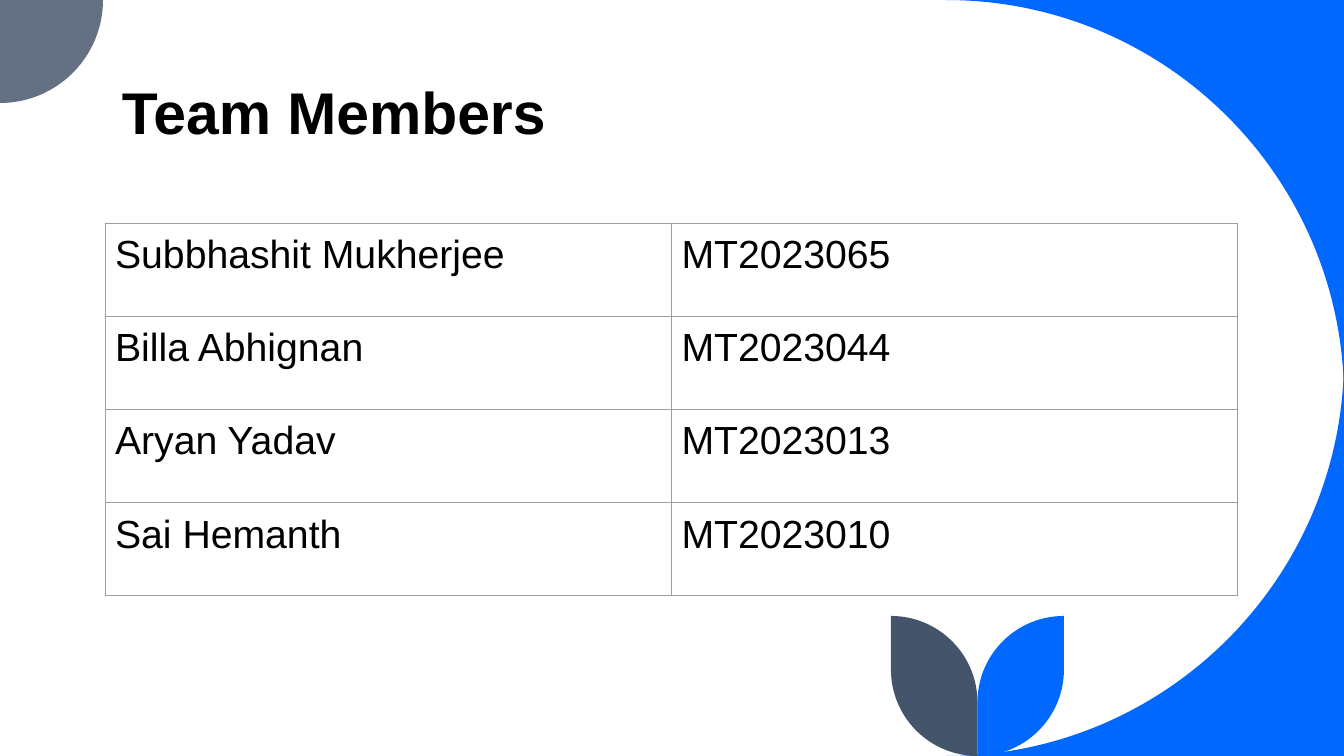
from lxml import etree
from pptx import Presentation
from pptx.dml.color import RGBColor
from pptx.enum.text import MSO_ANCHOR
from pptx.oxml.ns import qn
from pptx.util import Emu, Inches, Pt

EMU_PER_PX = 914400 / 100.8
SLIDE_W, SLIDE_H = 1344, 756
ARC_HANDLE = 0.5523  # Bezier handle of a quarter circle, per unit of radius
FONT = "Arial"
BOTTOM = MSO_ANCHOR.BOTTOM
TOP = MSO_ANCHOR.TOP

BLACK = RGBColor(0x00, 0x00, 0x00)
BLUE = RGBColor(0x00, 0x68, 0xFF)
GRAY = RGBColor(0x63, 0x71, 0x83)
SLATE = RGBColor(0x44, 0x54, 0x6A)
GRID = RGBColor(0x9E, 0x9E, 0x9E)

MEMBERS = [
    ("Subbhashit Mukherjee", "MT2023065"),
    ("Billa Abhignan", "MT2023044"),
    ("Aryan Yadav", "MT2023013"),
    ("Sai Hemanth", "MT2023010"),
]


def px(length):
    return Emu(round(length * EMU_PER_PX))


def quarter_arc(start, corner, end):
    """Bezier points of a quarter circle that bulges towards the corner."""
    handles = [
        tuple(p + ARC_HANDLE * (c - p) for p, c in zip(point, corner))
        for point in (start, end)
    ]
    return [*handles, end]


def add_outline(slide, start, segments, color):
    """Closed outline; a segment holds one point (line) or three (curve)."""
    points = [(px(x), px(y)) for segment in segments for x, y in segment]
    builder = slide.shapes.build_freeform(px(start[0]), px(start[1]), scale=1.0)
    builder.add_line_segments(points, close=True)
    outline = builder.convert_to_shape()
    outline.shadow.inherit = False
    outline.fill.solid()
    outline.fill.fore_color.rgb = color
    outline.line.fill.background()

    # Join the three points of each curve into one Bezier segment
    lines = iter(list(outline._element.iter(qn("a:lnTo"))))
    for segment in segments:
        parts = [next(lines) for _ in segment]
        if len(parts) == 3:
            curve = etree.Element(qn("a:cubicBezTo"))
            parts[0].addprevious(curve)
            for part in parts:
                curve.append(part[0])
                part.getparent().remove(part)


def add_corner(slide, corner, start, end, bulge, color):
    """Slide corner cut off by a quarter circle from start to end."""
    add_outline(slide, corner, [[start], quarter_arc(start, bulge, end)], color)


def add_leaf(slide, stem_x, tip_x, tip_y, color):
    radius = abs(tip_x - stem_x)
    tip, foot = (tip_x, tip_y), (stem_x, SLIDE_H)
    inner, outer = (stem_x, tip_y + radius), (tip_x, SLIDE_H - radius)
    add_outline(slide, tip, [
        [outer],
        quarter_arc(outer, (tip_x, SLIDE_H), foot),
        [inner],
        quarter_arc(inner, (stem_x, tip_y), tip),
    ], color)


def add_run(paragraph, text, size, bold=False):
    run = paragraph.add_run()
    run.text = text
    run.font.name = FONT
    run.font.size = Pt(size)
    run.font.bold = bold
    run.font.color.rgb = BLACK


def add_title(slide, text, left, top, width, height):
    title = slide.shapes.add_textbox(px(left), px(top), px(width), px(height))
    frame = title.text_frame
    frame.word_wrap = True
    frame.vertical_anchor = BOTTOM
    paragraph = frame.paragraphs[0]
    paragraph.line_spacing = 0.8
    add_run(paragraph, text, 42, bold=True)


def add_borders(cell):
    properties = cell._tc.get_or_add_tcPr()
    for position, side in enumerate(("a:lnL", "a:lnR", "a:lnT", "a:lnB")):
        border = etree.Element(qn(side), w=str(Pt(0.75)))
        fill = etree.SubElement(border, qn("a:solidFill"))
        etree.SubElement(fill, qn("a:srgbClr"), val=str(GRID))
        properties.insert(position, border)


def add_member_table(slide, rows, left, top, width, height):
    table = slide.shapes.add_table(
        len(rows), len(rows[0]), px(left), px(top), px(width), px(height)
    ).table
    table.first_row = False
    table.horz_banding = False
    for r, values in enumerate(rows):
        table.rows[r].height = px(height / len(rows))
        for c, value in enumerate(values):
            cell = table.cell(r, c)
            cell.fill.background()
            cell.vertical_anchor = TOP
            cell.margin_left = cell.margin_right = Inches(0.1)
            cell.margin_top = cell.margin_bottom = Inches(0.1)
            add_run(cell.text_frame.paragraphs[0], value, 28)
            add_borders(cell)


def main():
    deck = Presentation()
    deck.slide_width, deck.slide_height = px(SLIDE_W), px(SLIDE_H)
    slide = deck.slides.add_slide(deck.slide_layouts[6])

    # Blue corners around the large curve
    radius = 398
    curve_x = SLIDE_W - radius
    for edge_y, side_y in ((0, radius), (SLIDE_H, SLIDE_H - radius)):
        corner = (SLIDE_W, edge_y)
        add_corner(slide, corner, (curve_x, edge_y), (SLIDE_W, side_y), corner, BLUE)

    # Quarter circle in the top left corner
    add_corner(slide, (0, 0), (103, 0), (0, 103), (103, 103), GRAY)

    # Pair of leaves on one stem
    left_tip, right_tip = 891, 1064
    stem_x = (left_tip + right_tip) / 2
    add_leaf(slide, stem_x, right_tip, 616, BLUE)
    add_leaf(slide, stem_x, left_tip, 616, SLATE)

    # Title and members
    add_title(slide, "Team Members", 112, -42, 1078, 193)
    add_member_table(slide, MEMBERS, 105, 223, 1133, 373)

    deck.save("out.pptx")


if __name__ == "__main__":
    main()
